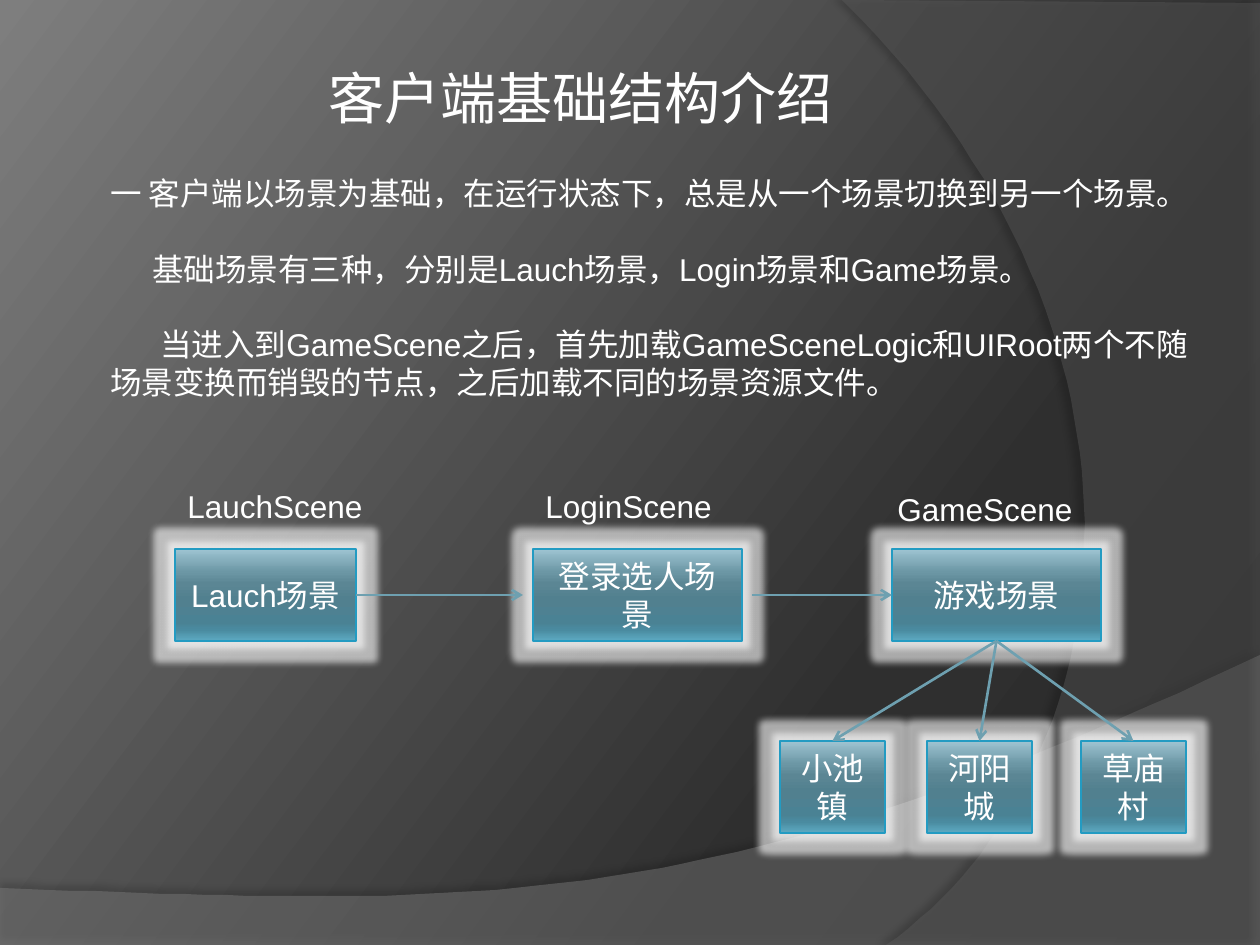
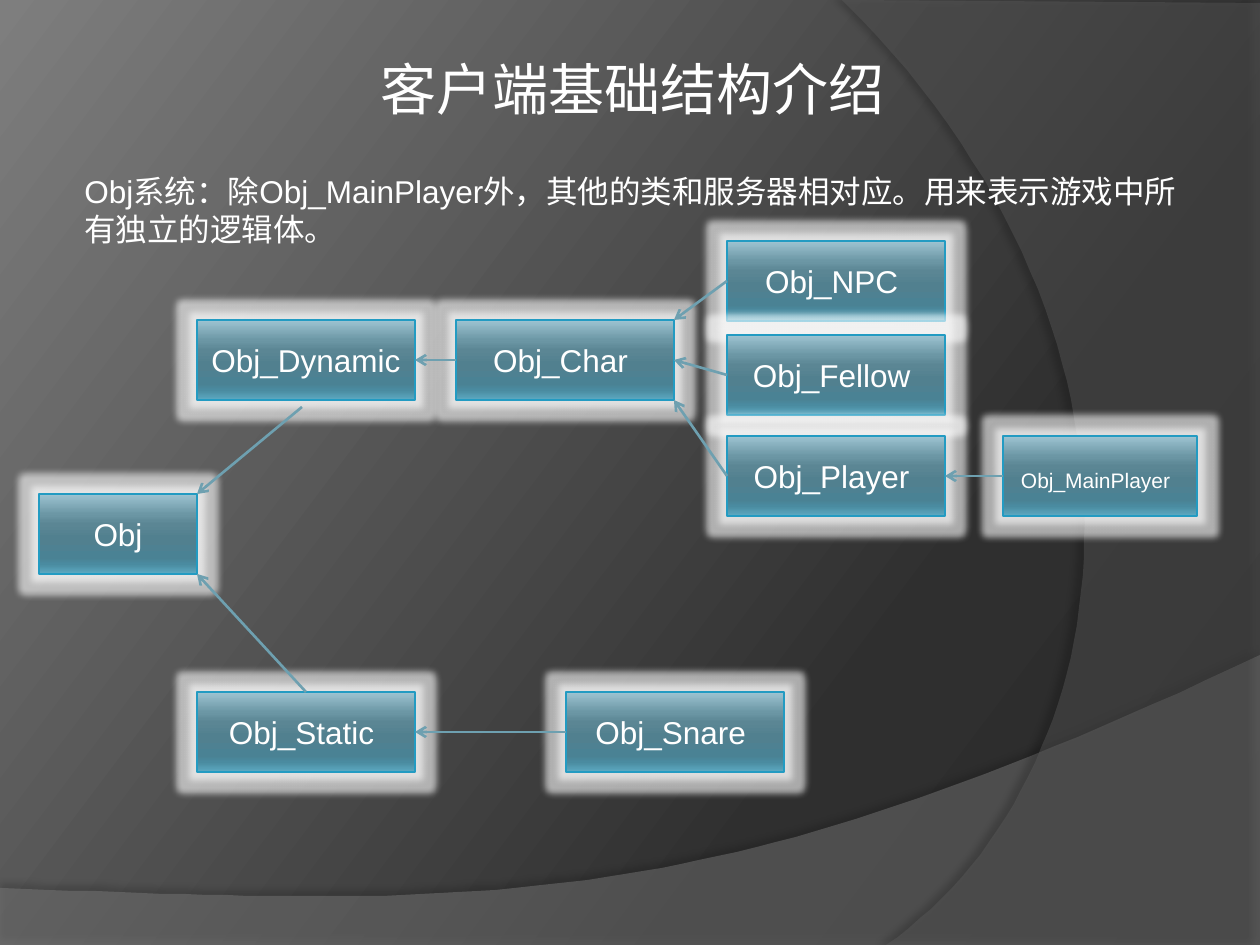
from dataclasses import dataclass

from lxml import etree
from pptx import Presentation
from pptx.dml.color import RGBColor
from pptx.enum.shapes import MSO_CONNECTOR, MSO_SHAPE
from pptx.enum.text import MSO_ANCHOR, PP_ALIGN
from pptx.oxml.ns import qn
from pptx.util import Pt

RECT, STRAIGHT = MSO_SHAPE.RECTANGLE, MSO_CONNECTOR.STRAIGHT
MIDDLE, TOP = MSO_ANCHOR.MIDDLE, MSO_ANCHOR.TOP
CENTER, LEFT = PP_ALIGN.CENTER, PP_ALIGN.LEFT
EMU_PER_PX = 914400 // 126
SLIDE_W, SLIDE_H = 1260, 945


@dataclass(frozen=True)
class Theme:
    font: str = "Arial"
    text: str = "FFFFFF"
    title_size: int = 32
    body_size: int = 18
    small_size: int = 12
    blank_line: float = 21.5
    box_line: str = "239BC2"
    arrow: str = "6EA0B0"
    glow: str = "FFFFFF"
    backdrop: tuple = ((0, "282828"), (30, "2F2F2F"), (100, "7E7E7E"))
    backdrop_angle: int = 217
    box_fill: tuple = ((0, "9EC4D2"), (25, "6C97A5"), (38, "5B8694"), (55, "51808F"),
                       (80, "4A8294"), (88, "4A8BA0"), (100, "5DAAC2"))


T = Theme()
TITLE = "客户端基础结构介绍"

# Swooshes: straight corners, then the control points of the closing curve
SWOOSHES = [
    dict(corners=[(0, 888), (0, 946), (1260, 946), (1260, 655)],
         curve=[(704, 919), (493, 906), (0, 888)],
         fill="7F7F7F", alpha=45, shadow=(35, 4, 3.5, 270)),
    dict(corners=[(1260, 3), (1260, 945), (886, 945)],
         curve=[(1123, 780), (1193, 347), (842, 0)],
         fill="5E5E5E", alpha=40, shadow=(45, 4, 4, 180)),
]

# Paragraphs: text, first-line indent in px, whether a line is left free above
SCENE_TEXT = [
    ("一 客户端以场景为基础，在运行状态下，总是从一个场景切换到另一个场景。", 0, False),
    ("基础场景有三种，分别是Lauch场景，Login场景和Game场景。", 42, True),
    ("当进入到GameScene之后，首先加载GameSceneLogic和UIRoot两个不随", 50, True),
    ("场景变换而销毁的节点，之后加载不同的场景资源文件。", 0, False),
]
OBJ_TEXT = [
    ("Obj系统：除Obj_MainPlayer外，其他的类和服务器相对应。用来表示游戏中所有独立的逻辑体。", 0, False),
]

SCENE_LABELS = [("LauchScene", (175, 481, 203, 50)),
                ("LoginScene", (533, 481, 194, 50)),
                ("GameScene", (885, 484, 203, 50))]
SCENE_H, TOWN_Y, TOWN_W = 92, 741, 105
SCENE_BOXES = {
    "Lauch场景": (175, 549, 181, SCENE_H),
    "登录选人场景": (533, 549, 209, SCENE_H),
    "游戏场景": (892, 549, 209, SCENE_H),
    "小池镇": (780, TOWN_Y, TOWN_W, SCENE_H),
    "河阳城": (927, TOWN_Y, TOWN_W, SCENE_H),
    "草庙村": (1081, TOWN_Y, TOWN_W, SCENE_H),
}

OBJ_W, OBJ_H = 218, 80
OBJ_BOXES = {
    "Obj": (39, 494, 158, OBJ_H),
    "Obj_Dynamic": (197, 320, OBJ_W, OBJ_H),
    "Obj_Static": (197, 692, OBJ_W, OBJ_H),
    "Obj_Char": (456, 320, OBJ_W, OBJ_H),
    "Obj_NPC": (727, 241, OBJ_W, OBJ_H),
    "Obj_Fellow": (727, 335, OBJ_W, OBJ_H),
    "Obj_Player": (727, 436, OBJ_W, OBJ_H),
    "Obj_MainPlayer": (1003, 436, 194, OBJ_H),
    "Obj_Snare": (566, 692, OBJ_W, OBJ_H),
}
SMALL_BOXES = {"Obj_MainPlayer"}

# Places on a box as fractions of its width and height
N, E, S, W = (0.5, 0), (1, 0.5), (0.5, 1), (0, 0.5)
NE, SE = (1, 0), (1, 1)

# Arrow ends: box, place on it, optional shift in px
SCENE_ARROWS = [
    (("Lauch场景", E), ("登录选人场景", W, (-10, 0))),
    (("登录选人场景", E, (10, 0)), ("游戏场景", W)),
] + [(("游戏场景", S), (town, N)) for town in ("小池镇", "河阳城", "草庙村")]
OBJ_ARROWS = [
    (("Obj_Dynamic", S, (-4, 7)), ("Obj", NE)),
    (("Obj_Static", N), ("Obj", SE)),
    (("Obj_Char", W), ("Obj_Dynamic", E)),
    (("Obj_NPC", W), ("Obj_Char", NE)),
    (("Obj_Fellow", W), ("Obj_Char", E)),
    (("Obj_Player", W), ("Obj_Char", SE)),
    (("Obj_MainPlayer", W), ("Obj_Player", E)),
    (("Obj_Snare", W), ("Obj_Static", E)),
]


def px(*values):
    return [round(v * EMU_PER_PX) for v in values]


def rgb(color):
    return RGBColor.from_string(color)


def sub(parent, tag, **attrs):
    return etree.SubElement(parent, qn(tag), {k: str(v) for k, v in attrs.items()})


def add_color(parent, color, alpha):
    sub(sub(parent, "a:srgbClr", val=color), "a:alpha", val=alpha * 1000)


def set_gradient(props, stops, angle):
    """Put a linear gradient in place of the solid fill of a property element."""
    solid = props.find(qn("a:solidFill"))
    grad = etree.Element(qn("a:gradFill"), rotWithShape="1")
    stop_list = sub(grad, "a:gsLst")
    for pos, color in stops:
        sub(sub(stop_list, "a:gs", pos=pos * 1000), "a:srgbClr", val=color)
    sub(grad, "a:lin", ang=angle * 60000, scaled=0)
    props.replace(solid, grad)


def clear_effects(shape):
    """Empty the effect list and return it."""
    shape.shadow.inherit = False
    return shape._element.spPr.find(qn("a:effectLst"))


def bezier(p0, p1, p2, p3, steps=60):
    for i in range(1, steps + 1):
        t = i / steps
        u = 1 - t
        yield tuple(u**3 * a + 3 * u * u * t * b + 3 * u * t * t * c + t**3 * d
                    for a, b, c, d in zip(p0, p1, p2, p3))


def add_swoosh(s, corners, curve, fill, alpha, shadow):
    points = corners[1:] + list(bezier(corners[-1], *curve))
    builder = s.shapes.build_freeform(*corners[0], scale=EMU_PER_PX)
    builder.add_line_segments(points, close=True)
    sp = builder.convert_to_shape()
    sp.fill.solid()
    sp.fill.fore_color.rgb = rgb(fill)
    sub(sp._element.spPr.find(qn("a:solidFill"))[0], "a:alpha", val=alpha * 1000)
    sp.line.fill.background()
    strength, blur, dist, direction = shadow
    outer = sub(clear_effects(sp), "a:outerShdw", blurRad=Pt(blur), dist=Pt(dist),
                dir=direction * 60000, algn="b", rotWithShape=0)
    add_color(outer, "000000", strength)


def set_font(target, size):
    target.font.name = T.font
    target.font.size = Pt(size)
    target.font.color.rgb = rgb(T.text)


def add_text(s, rect, paragraphs, size=T.body_size, align=LEFT, anchor=TOP, wrap=True):
    tf = s.shapes.add_textbox(*px(*rect)).text_frame
    tf.word_wrap, tf.vertical_anchor = wrap, anchor
    for i, (text, indent, free_line) in enumerate(paragraphs):
        p = tf.paragraphs[0] if i == 0 else tf.add_paragraph()
        p.text, p.alignment = text, align
        if indent:
            p._p.get_or_add_pPr().set("indent", str(indent * EMU_PER_PX))
        if free_line:
            p.space_before = Pt(T.blank_line)
        set_font(p, size)
    return tf


def add_title(s, rect):
    tf = add_text(s, rect, [(TITLE, 0, False)], T.title_size, CENTER, MIDDLE)
    tf.margin_left, tf.margin_right = px(13, 6)
    tf.margin_top = tf.margin_bottom = 0


def add_box(s, name, rect):
    sp = s.shapes.add_shape(RECT, *px(*rect))
    sp.fill.solid()
    set_gradient(sp._element.spPr, T.box_fill, 90)
    sp.line.color.rgb = rgb(T.box_line)
    sp.line.width = Pt(0.75)
    add_color(sub(clear_effects(sp), "a:glow", rad=Pt(8)), T.glow, 60)
    tf = sp.text_frame
    tf.word_wrap, tf.vertical_anchor = True, MIDDLE
    p = tf.paragraphs[0]
    p.alignment = CENTER
    r = p.add_run()
    r.text = name
    set_font(p, T.body_size)
    if name in SMALL_BOXES:
        set_font(r, T.small_size)
    if name.startswith("Obj_"):
        p.add_run().text = " "
        set_font(p.runs[-1], T.body_size)


def end_point(boxes, name, place, shift=(0, 0)):
    x, y, w, h = boxes[name]
    return x + place[0] * w + shift[0], y + place[1] * h + shift[1]


def add_arrow(s, start, end):
    line = s.shapes.add_connector(STRAIGHT, *px(*start, *end))
    line.line.color.rgb = rgb(T.arrow)
    line.line.width = Pt(1.5)
    sub(line.line._get_or_add_ln(), "a:tailEnd", type="arrow")
    sub(line._element.spPr, "a:effectLst")


def add_diagram_slide(prs, title_rect, text_rect, text, boxes, arrows, labels=()):
    s = prs.slides.add_slide(prs.slide_layouts[6])
    s.background.fill.solid()
    set_gradient(s._element.find(".//" + qn("p:bgPr")), T.backdrop, T.backdrop_angle)
    for swoosh in SWOOSHES:
        add_swoosh(s, **swoosh)
    add_title(s, title_rect)
    add_text(s, text_rect, text)
    for name, rect in boxes.items():
        add_box(s, name, rect)
    for start, end in arrows:
        add_arrow(s, end_point(boxes, *start), end_point(boxes, *end))
    for label, rect in labels:
        add_text(s, rect, [(label, 0, False)], wrap=False)


def main():
    prs = Presentation()
    prs.slide_width, prs.slide_height = px(SLIDE_W, SLIDE_H)
    add_diagram_slide(prs, (131, 40, 893, 115), (98, 168, 1125, 242), SCENE_TEXT,
                      SCENE_BOXES, SCENE_ARROWS, SCENE_LABELS)
    add_diagram_slide(prs, (183, 42, 893, 92), (72, 166, 1124, 89), OBJ_TEXT,
                      OBJ_BOXES, OBJ_ARROWS)
    prs.save("out.pptx")


if __name__ == "__main__":
    main()
